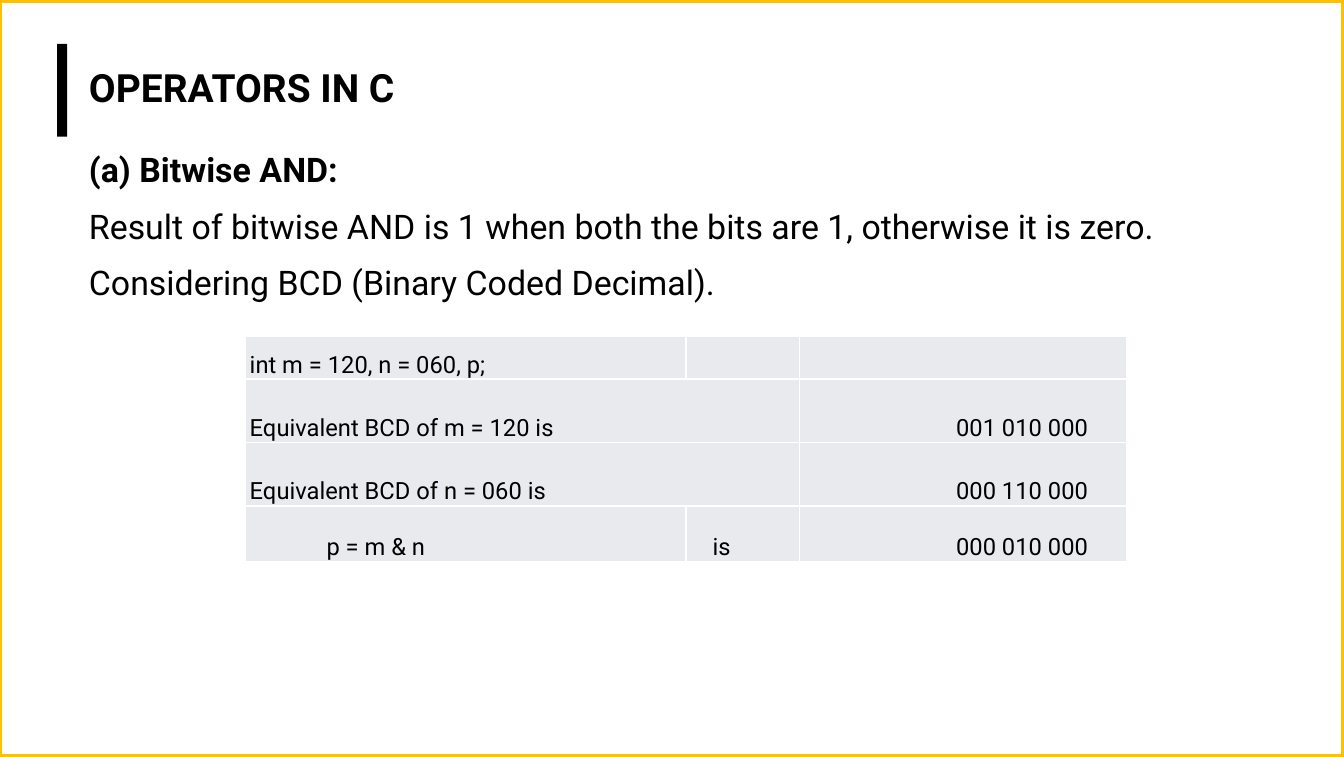
from lxml import etree
from pptx import Presentation
from pptx.dml.color import RGBColor
from pptx.enum.shapes import MSO_SHAPE
from pptx.enum.text import MSO_ANCHOR, MSO_AUTO_SIZE, PP_ALIGN
from pptx.oxml import parse_xml
from pptx.oxml.ns import nsdecls, qn
from pptx.util import Inches, Pt

RECTANGLE = MSO_SHAPE.RECTANGLE
MIDDLE, BOTTOM, TOP = MSO_ANCHOR.MIDDLE, MSO_ANCHOR.BOTTOM, MSO_ANCHOR.TOP
LEFT, RIGHT, JUSTIFY = PP_ALIGN.LEFT, PP_ALIGN.RIGHT, PP_ALIGN.JUSTIFY
NO_AUTOFIT = MSO_AUTO_SIZE.NONE

BLACK = RGBColor(0x00, 0x00, 0x00)
WHITE = RGBColor(0xFF, 0xFF, 0xFF)
AMBER = RGBColor(0xFF, 0xC0, 0x00)
CELL_GRAY = RGBColor(0xE8, 0xEA, 0xED)

presentation = Presentation()
presentation.slide_width = Inches(11.03)
presentation.slide_height = Inches(6.21)
slide = presentation.slides.add_slide(presentation.slide_layouts[1])
shapes = slide.shapes


def percent_box(left, top, width, height):
    across = presentation.slide_width / 100
    down = presentation.slide_height / 100
    return [int(left * across), int(top * down), int(width * across), int(height * down)]


def format_paragraph(paragraph, size, bold, **formats):
    for name, value in formats.items():
        setattr(paragraph, name, value)
    font = paragraph.font
    for name, value in {"name": "Roboto", "size": Pt(size), "bold": bold}.items():
        setattr(font, name, value)
    font.color.rgb = BLACK


frame = shapes.add_shape(RECTANGLE, *percent_box(0, 0, 100, 100))
accent_bar = shapes.add_shape(RECTANGLE, *percent_box(4.26, 5.8, 0.73, 12.24))
for position, (shape, color) in enumerate([(frame, WHITE), (accent_bar, BLACK)], 2):
    shape.shadow.inherit = False
    shape.fill.solid()
    shape.fill.fore_color.rgb = color
    shapes._spTree.insert(position, shape._element)
frame.line.color.rgb = AMBER
frame.line.width = Pt(3)
accent_bar.line.fill.background()

title = shapes.title
body = slide.placeholders[1]
placeholder_layout = [
    (title, percent_box(5.71, 5.8, 50.95, 12.24), MIDDLE),
    (body, percent_box(5.71, 19.48, 88.58, 76.81), TOP),
]
for placeholder, box, anchor in placeholder_layout:
    placeholder.left, placeholder.top, placeholder.width, placeholder.height = box
    placeholder.text_frame.auto_size = NO_AUTOFIT
    placeholder.text_frame.vertical_anchor = anchor

title.text_frame.text = "OPERATORS IN C"
format_paragraph(title.text_frame.paragraphs[0], 23, True, alignment=LEFT, line_spacing=0.9)

body_lines = [
    ("(a) Bitwise AND:", True, LEFT, 11.6),
    ("Result of bitwise AND is 1 when both the bits are 1, otherwise it is zero.", False, JUSTIFY, 11.6),
    ("Considering BCD (Binary Coded Decimal).", False, JUSTIFY, 0),
]
body.text_frame.text = "\n".join(line[0] for line in body_lines)
for paragraph, (text, bold, alignment, after) in zip(body.text_frame.paragraphs, body_lines):
    properties = paragraph._p.get_or_add_pPr()
    properties.set("marL", "0")
    properties.set("indent", "0")
    etree.SubElement(properties, qn("a:buNone"))
    format_paragraph(paragraph, 20, bold, alignment=alignment, line_spacing=0.9,
                     space_before=Pt(0), space_after=Pt(after))

column_shares = [32.82, 8.43, 24.39]
row_shares = [5.64, 8.37, 8.37, 7.41]
bcd_rows = [
    ["int m = 120, n = 060, p;", "", ""],
    ["Equivalent BCD of m = 120 is", "", "001 010 000"],
    ["Equivalent BCD of n = 060 is", "", "000 110 000"],
    ["p = m & n", "is", "000 010 000"],
]
table = shapes.add_table(
    len(row_shares), len(column_shares),
    *percent_box(18.22, 44.44, sum(column_shares), sum(row_shares))).table
table.first_row = False
table.horz_banding = False
for column, share in zip(table.columns, column_shares):
    column.width = int(presentation.slide_width * share / 100)
for row, share in zip(table.rows, row_shares):
    row.height = int(presentation.slide_height * share / 100)

left_indents = {"p = m & n": 0.67, "is": 0.22}
for row_index, texts in enumerate(bcd_rows):
    for column_index, text in enumerate(texts):
        cell = table.cell(row_index, column_index)
        is_value = column_index == 2
        cell_formats = {
            "text": text,
            "vertical_anchor": BOTTOM,
            "margin_left": Inches(left_indents.get(text, 0.04)),
            "margin_right": Inches(0.32 if is_value else 0),
            "margin_top": 0,
            "margin_bottom": 0,
        }
        for name, value in cell_formats.items():
            setattr(cell, name, value)
        cell_properties = cell._tc.get_or_add_tcPr()
        for side in ("lnL", "lnR", "lnT", "lnB"):
            cell_properties.append(parse_xml(
                f'<a:{side} {nsdecls("a")} w="{Pt(1)}"><a:solidFill>'
                f'<a:srgbClr val="{WHITE}"/></a:solidFill></a:{side}>'))
        cell.fill.solid()
        cell.fill.fore_color.rgb = CELL_GRAY
        format_paragraph(cell.text_frame.paragraphs[0], 14, False,
                         alignment=RIGHT if is_value else LEFT,
                         line_spacing=1.15, space_after=Pt(10))
        if not text:
            etree.SubElement(cell.text_frame.paragraphs[0]._p, qn("a:endParaRPr"), sz="1400")

for row_index in (1, 2):
    table.cell(row_index, 0).merge(table.cell(row_index, 1))

presentation.save("out.pptx")
